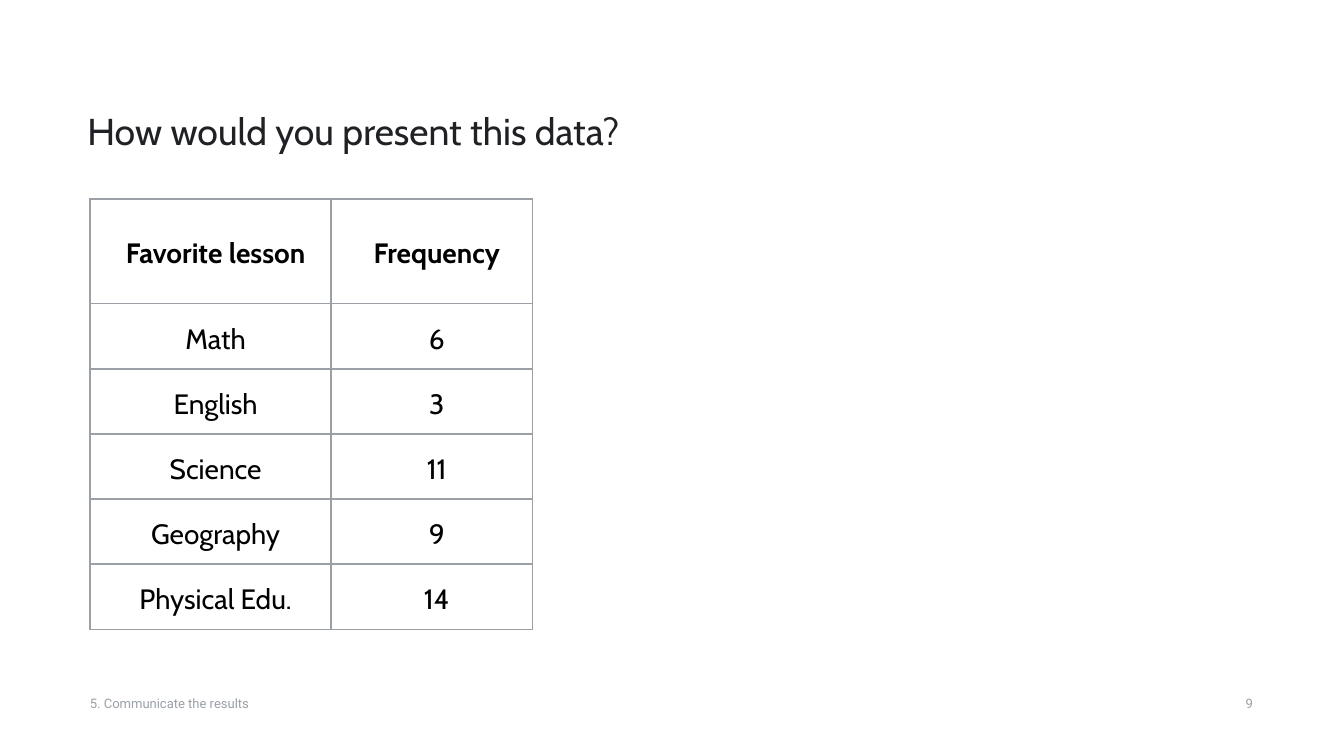
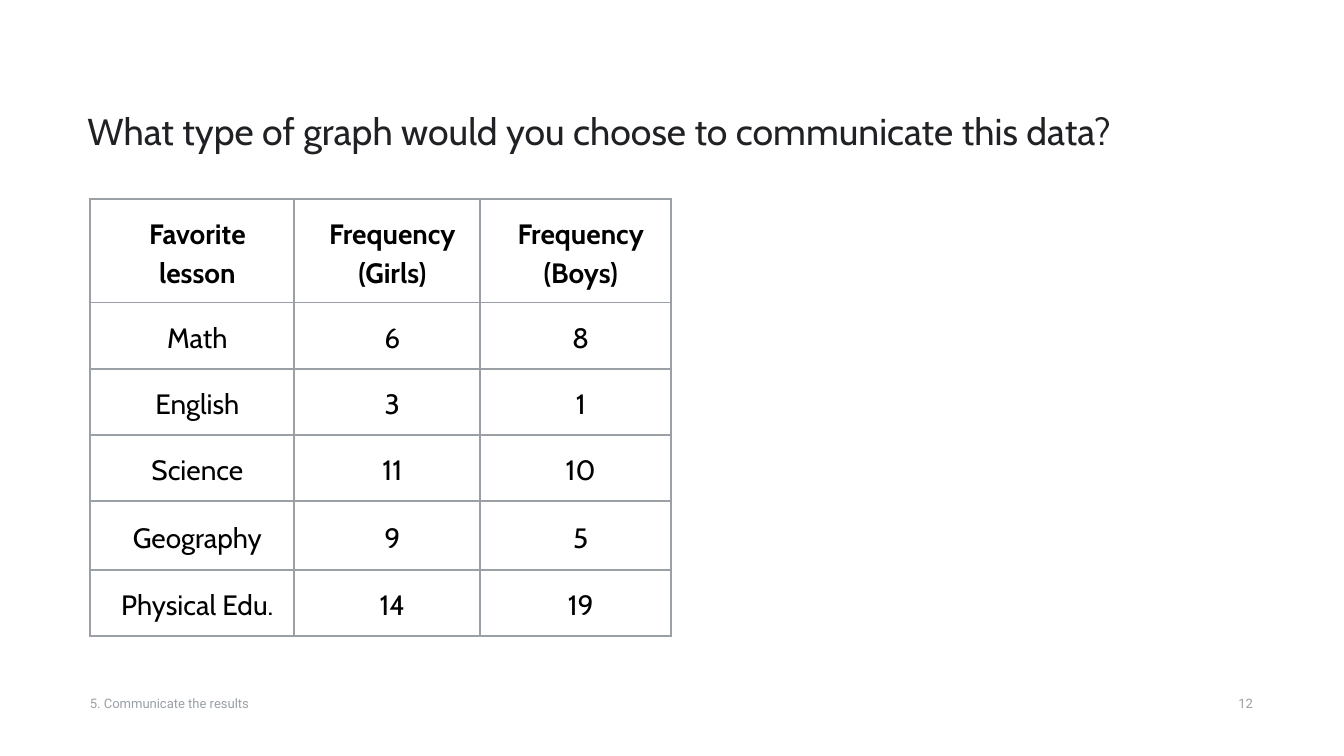
from lxml import etree
from pptx import Presentation
from pptx import util as u
from pptx.dml.color import RGBColor
from pptx.enum import text
from pptx.oxml.ns import qn

INK, BLACK, GREY = "202124", "000000", "9AA0A6"
HEAD_FONT, NOTE_FONT = "Cabin", "Roboto"
LEFT, CENTER, RIGHT = text.PP_ALIGN.LEFT, text.PP_ALIGN.CENTER, text.PP_ALIGN.RIGHT
TOP, MIDDLE = text.MSO_ANCHOR.TOP, text.MSO_ANCHOR.MIDDLE
SECTION = "5. Communicate the results"
FOOTER_TOP, FOOTER_H = 12.75, 1.09


def rgb(value):
    return RGBColor.from_string(value)


class Deck:
    """Holds the presentation, its style and the slide being filled."""

    def __init__(self):
        self.prs = Presentation()
        self.prs.slide_width, self.prs.slide_height = u.Cm(25.4), u.Cm(14.29)
        self.s = None

    def slide(self, title, number, title_width):
        self.s = self.prs.slides.add_slide(self.prs.slide_layouts[6])
        self.box(title, 1.4, 1.63, title_width, 1.3, TOP,
                 size=20, font=HEAD_FONT, color=INK, spacing=1.2)
        note = dict(size=7, font=NOTE_FONT, color=GREY)
        self.box(str(number), 22.3, FOOTER_TOP, 1.63, FOOTER_H, MIDDLE, align=RIGHT, **note)
        self.box(SECTION, 1.45, FOOTER_TOP, 7.34, FOOTER_H, MIDDLE, **note)

    def add_text(self, p, words, size, font, color, bold=False, align=LEFT, spacing=1.0):
        p.alignment, p.line_spacing = align, spacing
        r = p.add_run()
        r.text = words
        r.font.size, r.font.name, r.font.bold = u.Pt(size), font, bold
        r.font.color.rgb = rgb(color)

    def box(self, words, left, top, width, height, anchor, **style):
        tf = self.s.shapes.add_textbox(*map(u.Cm, (left, top, width, height))).text_frame
        tf.word_wrap, tf.vertical_anchor = True, anchor
        tf.margin_left = tf.margin_right = tf.margin_top = tf.margin_bottom = u.Cm(0.25)
        self.add_text(tf.paragraphs[0], words, **style)

    def borders(self, cell):
        tc_pr = cell._tc.get_or_add_tcPr()
        for side in ("a:lnL", "a:lnR", "a:lnT", "a:lnB"):
            ln = etree.SubElement(tc_pr, qn(side), w=str(u.Pt(1)))
            fill = etree.SubElement(ln, qn("a:solidFill"))
            etree.SubElement(fill, qn("a:srgbClr"), val=GREY)

    def cell(self, cell, words, bold, anchor):
        self.borders(cell)
        cell.fill.background()
        cell.vertical_anchor = anchor
        cell.margin_left = cell.margin_right = u.Cm(0.18)
        cell.margin_top = cell.margin_bottom = u.Cm(0.25)
        tf = cell.text_frame
        for i, line in enumerate(words.split("\n")):
            p = tf.add_paragraph() if i else tf.paragraphs[0]
            p._p.get_or_add_pPr().set("marL", str(u.Cm(0.2)))
            self.add_text(p, line, 15, HEAD_FONT, BLACK, bold, CENTER, 1.15)

    def table(self, rows, widths, heights, body_anchor):
        """Draw a grid whose first row is a bold heading."""
        frame = self.s.shapes.add_table(len(rows), len(widths), u.Cm(1.7), u.Cm(3.76),
                                        u.Cm(sum(widths)), u.Cm(sum(heights)))
        tbl = frame.table
        tbl.first_row = tbl.horz_banding = False
        for column, width in zip(tbl.columns, widths):
            column.width = u.Cm(width)
        for i, (row, height, values) in enumerate(zip(tbl.rows, heights, rows)):
            row.height = u.Cm(height)
            for cell, value in zip(row.cells, values):
                self.cell(cell, str(value), i == 0, body_anchor if i else MIDDLE)


def main():
    lessons = ["Math", "English", "Science", "Geography", "Physical Edu."]
    girls = [6, 3, 11, 9, 14]
    boys = [8, 1, 10, 5, 19]

    deck = Deck()
    deck.slide("How would you present this data?", 9, 22.3)
    deck.table([("Favorite lesson", "Frequency"), *zip(lessons, girls)],
               [4.55, 3.81], [1.98] + [1.2] * 5, TOP)

    deck.slide("What type of graph would you choose to communicate this data?", 12, 23.67)
    deck.table([("Favorite lesson", "Frequency\n(Girls)", "Frequency\n(Boys)"),
                *zip(lessons, girls, boys)],
               [3.86, 3.51, 3.61], [1.96, 1.25, 1.25, 1.25, 1.3, 1.25], MIDDLE)
    deck.prs.save("out.pptx")


if __name__ == "__main__":
    main()
